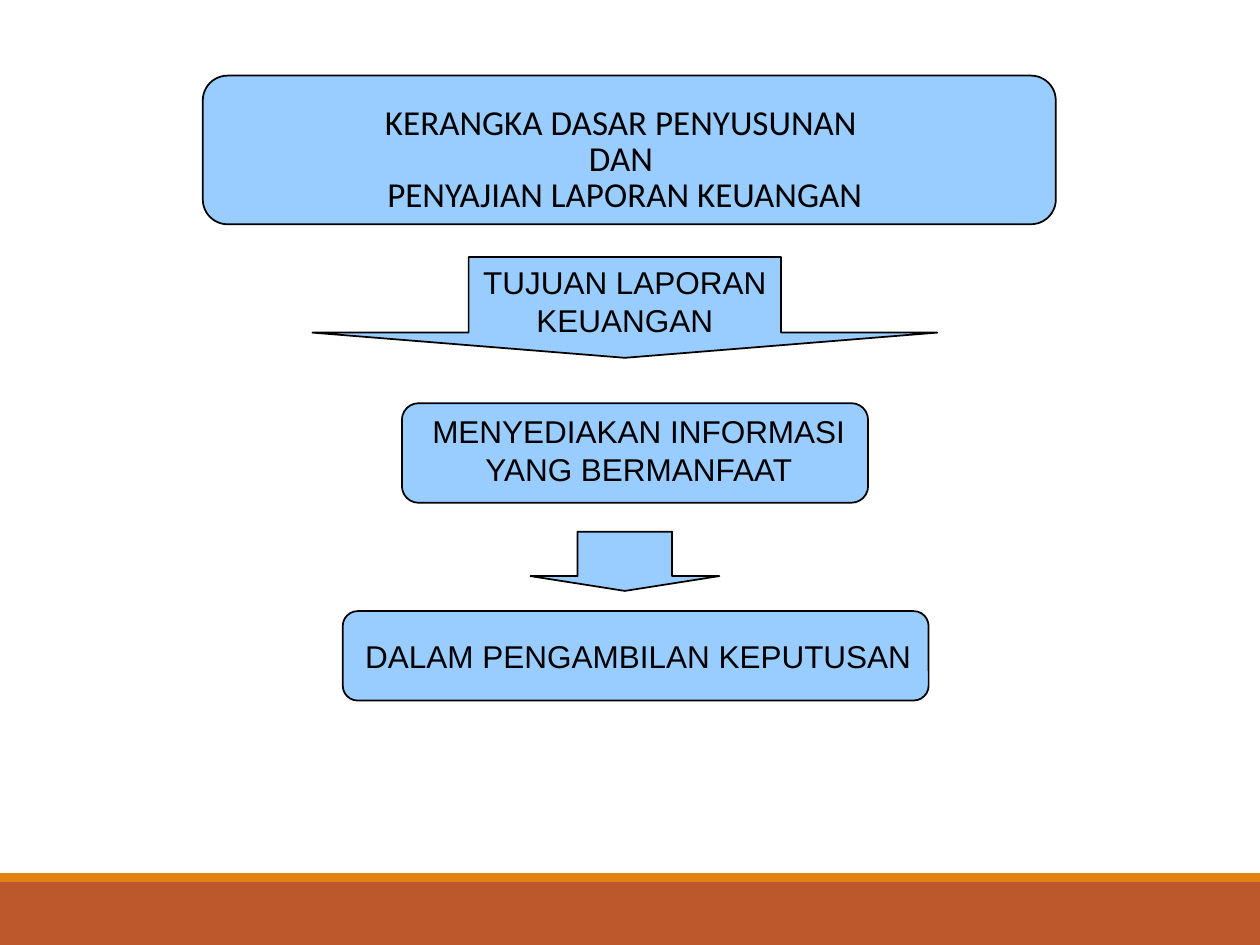
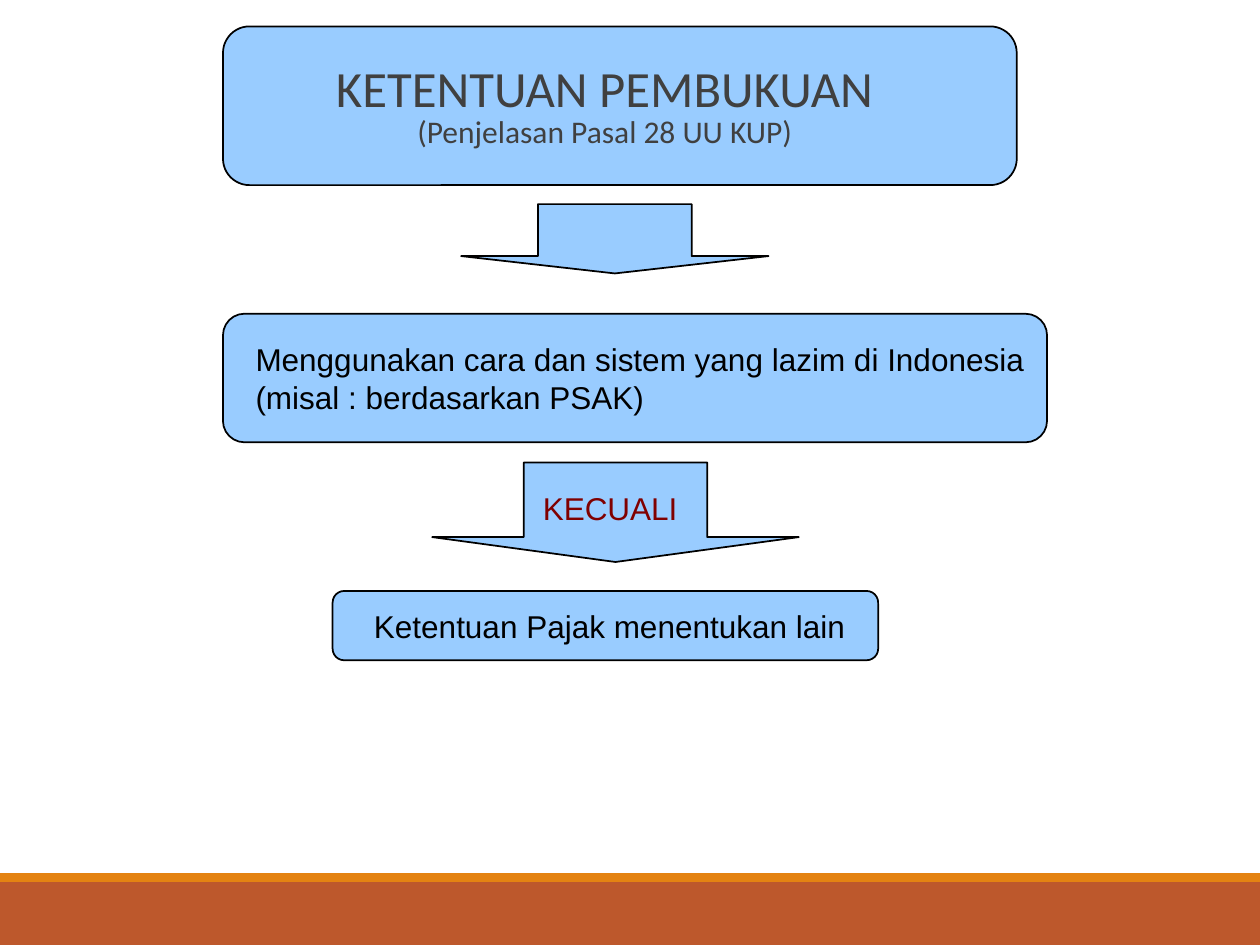
from dataclasses import dataclass

from pptx import Presentation
from pptx.dml.color import RGBColor
from pptx.enum.shapes import MSO_SHAPE as Preset
from pptx.enum.text import MSO_ANCHOR as Anchor, MSO_AUTO_SIZE as AutoSize, PP_ALIGN as Align
from pptx.util import Inches, Pt


@dataclass(frozen=True)
class Theme:
    band: str = "BD582C"
    stripe: str = "E48312"
    panel: str = "99CCFF"
    ink: str = "000000"
    heading: str = "404040"
    accent: str = "800000"
    title_font: str = "Calibri"
    body_font: str = "Arial"
    body_size: int = 18
    title_size: int = 20
    large_title_size: int = 29
    outline: float = 1


THEME = Theme()


def color(value):
    return RGBColor.from_string(value)


def place(shape, box):
    shape.left, shape.top, shape.width, shape.height = map(Inches, box)


def add_run(paragraph, text, font, size, ink):
    run = paragraph.add_run()
    run.text = text
    run.font.name = font
    run.font.size = Pt(size)
    run.font.color.rgb = color(ink)


def write_lines(frame, lines, align, ink=THEME.ink):
    for index, line in enumerate(lines):
        paragraph = frame.paragraphs[0] if index == 0 else frame.add_paragraph()
        paragraph.alignment = align
        add_run(paragraph, line, THEME.body_font, THEME.body_size, ink)


def add_preset(slide, preset, box, fill, outlined=True):
    shape = slide.shapes.add_shape(preset, *map(Inches, box))
    shape.shadow.inherit = False
    shape.fill.solid()
    shape.fill.fore_color.rgb = color(fill)
    if outlined:
        shape.line.color.rgb = color(THEME.ink)
        shape.line.width = Pt(THEME.outline)
    else:
        shape.line.fill.background()
    return shape


def add_panel(slide, box):
    panel = add_preset(slide, Preset.ROUNDED_RECTANGLE, box, THEME.panel)
    panel.adjustments[0] = 0.167


def add_arrow(slide, box, text=None):
    arrow = add_preset(slide, Preset.DOWN_ARROW, box, THEME.panel)
    arrow.adjustments[0] = 0.5
    arrow.adjustments[1] = 0.25
    if text:
        arrow.text_frame.word_wrap = True
        arrow.text_frame.vertical_anchor = Anchor.MIDDLE
        write_lines(arrow.text_frame, [text], Align.CENTER)


def add_caption(slide, box, lines, align=Align.LEFT, ink=THEME.ink):
    frame = slide.shapes.add_textbox(*map(Inches, box)).text_frame
    frame.word_wrap = False
    frame.auto_size = AutoSize.SHAPE_TO_FIT_TEXT
    write_lines(frame, lines, align, ink)


def set_title(slide, box, lines, ink):
    title = slide.shapes.title
    title.element.getparent().append(title.element)
    place(title, box)
    frame = title.text_frame
    frame.auto_size = AutoSize.NONE
    frame.word_wrap = True
    frame.vertical_anchor = Anchor.BOTTOM
    paragraph = frame.paragraphs[0]
    paragraph.alignment = Align.CENTER
    paragraph.line_spacing = 0.85
    for index, (text, size) in enumerate(lines):
        if index:
            paragraph.add_line_break()
        add_run(paragraph, text, THEME.title_font, size, ink)


def move_bands_to_layout(slide):
    bands = [((0, 7, 10, 0.5), THEME.band), ((0, 6.93, 10, 0.07), THEME.stripe)]
    layout_tree = slide.slide_layout.shapes.element
    for index, (box, fill) in enumerate(bands):
        band = add_preset(slide, Preset.RECTANGLE, box, fill, outlined=False)
        band.element.nvSpPr.cNvPr.id = 20 + index
        layout_tree.append(band.element)


def build_framework(slide):
    for box in [(2.72, 4.85, 4.65, 0.71), (3.19, 3.2, 3.7, 0.79), (1.61, 0.6, 6.77, 1.18)]:
        add_panel(slide, box)
    lines = ["KERANGKA DASAR PENYUSUNAN ", "DAN ", "PENYAJIAN LAPORAN KEUANGAN"]
    set_title(slide, (1, 0.64, 7.92, 1.11),
              [(line, THEME.title_size) for line in lines], THEME.ink)
    add_arrow(slide, (2.48, 2.04, 4.96, 0.8), "TUJUAN LAPORAN KEUANGAN")
    add_caption(slide, (3.33, 3.22, 3.48, 0.7),
                ["MENYEDIAKAN INFORMASI", "YANG BERMANFAAT"], Align.CENTER)
    add_caption(slide, (2.8, 5.01, 4.55, 0.4), ["DALAM PENGAMBILAN KEPUTUSAN"])
    add_arrow(slide, (4.21, 4.22, 1.5, 0.47))


def build_bookkeeping(slide):
    for box in [(2.64, 4.69, 4.33, 0.55), (1.77, 2.49, 6.54, 1.02), (1.77, 0.21, 6.3, 1.26)]:
        add_panel(slide, box)
    set_title(slide, (0.29, 0.44, 9.02, 0.8),
              [("KETENTUAN PEMBUKUAN", THEME.large_title_size),
               ("(Penjelasan Pasal 28 UU KUP)", THEME.body_size)], THEME.heading)
    add_arrow(slide, (3.43, 3.67, 2.91, 0.79))
    add_arrow(slide, (3.66, 1.62, 2.44, 0.55))
    add_caption(slide, (1.93, 2.65, 6.3, 0.7),
                ["Menggunakan cara dan sistem yang lazim di Indonesia",
                 "(misal : berdasarkan PSAK)"])
    add_caption(slide, (4.21, 3.83, 1.27, 0.4), ["KECUALI"], ink=THEME.accent)
    add_caption(slide, (2.87, 4.77, 3.94, 0.4), ["Ketentuan Pajak menentukan lain"])


def main():
    presentation = Presentation()
    presentation.slide_width = Inches(10)
    presentation.slide_height = Inches(7.5)
    title_only = presentation.slide_layouts[5]
    framework = presentation.slides.add_slide(title_only)
    move_bands_to_layout(framework)
    build_framework(framework)
    build_bookkeeping(presentation.slides.add_slide(title_only))
    presentation.save("out.pptx")


if __name__ == "__main__":
    main()
